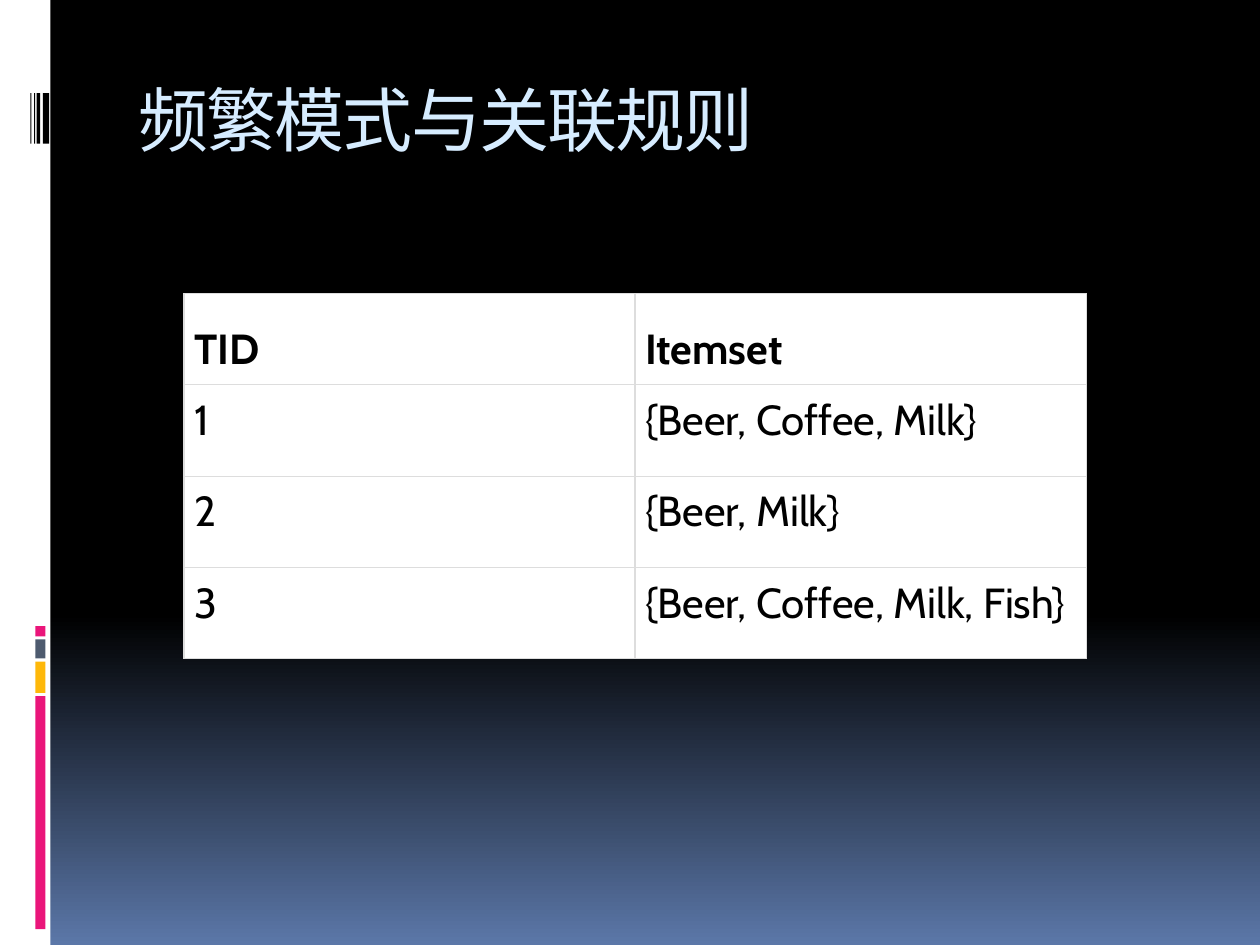
from lxml.etree import SubElement
from pptx import Presentation
from pptx.dml.color import RGBColor
from pptx.enum.shapes import MSO_SHAPE
from pptx.enum.text import MSO_ANCHOR
from pptx.oxml.ns import qn
from pptx.util import Inches, Pt

BLACK = RGBColor(0x00, 0x00, 0x00)
WHITE = RGBColor(0xFF, 0xFF, 0xFF)
BLUE = RGBColor(0x5B, 0x77, 0xA8)
ICE = RGBColor(0xD6, 0xEC, 0xFF)
PINK = RGBColor(0xEA, 0x15, 0x7A)
AMBER = RGBColor(0xFE, 0xB8, 0x0A)
SLATE = RGBColor(0x4E, 0x5B, 0x6F)
BORDER = RGBColor(0xDD, 0xDD, 0xDD)

COLUMNS, ROWS = 100, 75
TITLE_FONT, TABLE_FONT = "DejaVu Sans Mono", "Cabin"
TRANSACTIONS = [
    ("TID", "Itemset"),
    ("1", "{Beer, Coffee, Milk}"),
    ("2", "{Beer, Milk}"),
    ("3", "{Beer, Coffee, Milk, Fish}"),
]
STRIPES = [(2.4, 0.1), (2.7, 0.1), (2.9, 0.3), (3.4, 0.5)]
BLOCKS = [(0.8, PINK), (1.5, SLATE), (2.5, AMBER), (18.5, PINK)]
BLOCK_GAP = 0.25


class SlideBuilder:
    def __init__(self, deck):
        self.column = deck.slide_width / COLUMNS
        self.row = deck.slide_height / ROWS
        self.slide = deck.slides.add_slide(deck.slide_layouts[6])

    def place(self, left, top, width, height):
        return (
            round(left * self.column),
            round(top * self.row),
            round(width * self.column),
            round(height * self.row),
        )

    def background(self, start, end, hold):
        fill = self.slide.background.fill
        fill.gradient()
        fill.gradient_angle = 270
        for stop, color, position in zip(fill.gradient_stops, (start, end), (hold, 1)):
            stop.color.rgb = color
            stop.position = position

    def bar(self, left, top, width, height, color):
        shape = self.slide.shapes.add_shape(
            MSO_SHAPE.RECTANGLE, *self.place(left, top, width, height)
        )
        shape.shadow.inherit = False
        shape.fill.solid()
        shape.fill.fore_color.rgb = color
        shape.line.fill.background()

    def style(self, para, font, size, color, bold=False):
        for span in para.runs:
            span.font.name = font
            span.font.size = Pt(size)
            span.font.color.rgb = color
            span.font.bold = bold

    def title(self, text, left, top, width, height):
        box = self.slide.shapes.add_textbox(*self.place(left, top, width, height))
        frame = box.text_frame
        frame.word_wrap = True
        frame.vertical_anchor = MSO_ANCHOR.TOP
        frame.text = text
        para = frame.paragraphs[0]
        self.style(para, TITLE_FONT, 40, ICE)
        properties = para.runs[0].font._element
        properties.set("spc", "-100")
        SubElement(properties, qn("a:ea"), typeface=TITLE_FONT)

    def border(self, cell):
        properties = cell._tc.get_or_add_tcPr()
        for position, side in enumerate(("a:lnL", "a:lnR", "a:lnT", "a:lnB")):
            line = SubElement(properties, qn(side), w=str(Pt(0.75)))
            fill = SubElement(line, qn("a:solidFill"))
            SubElement(fill, qn("a:srgbClr"), val=str(BORDER))
            properties.insert(position, line)

    def table(self, records, left, top, width, height):
        frame = self.slide.shapes.add_table(
            len(records), len(records[0]), *self.place(left, top, width, height)
        )
        for row, record in enumerate(records):
            for column, text in enumerate(record):
                cell = frame.table.cell(row, column)
                cell.text = text
                cell.margin_left = cell.margin_right = Inches(0.08)
                cell.margin_top = cell.margin_bottom = Inches(0.08)
                cell.vertical_anchor = MSO_ANCHOR.TOP if row else MSO_ANCHOR.BOTTOM
                cell.fill.solid()
                cell.fill.fore_color.rgb = WHITE
                self.style(cell.text_frame.paragraphs[0], TABLE_FONT, 24, BLACK, row == 0)
                self.border(cell)


def main():
    deck = Presentation()
    deck.slide_width, deck.slide_height = Inches(10), Inches(7.5)
    builder = SlideBuilder(deck)
    builder.background(BLACK, BLUE, 0.65)
    builder.bar(0, 0, 4, ROWS, WHITE)
    for left, width in STRIPES:
        builder.bar(left, 7.4, width, 4, BLACK)
    top = 49.7
    for height, color in BLOCKS:
        builder.bar(2.8, top, 0.8, height, color)
        top += height + BLOCK_GAP
    builder.title("频繁模式与关联规则", 10, 5.6, 85, 10)
    builder.table(TRANSACTIONS, 14.6, 23.3, 71.6, 29)
    deck.save("out.pptx")


if __name__ == "__main__":
    main()
